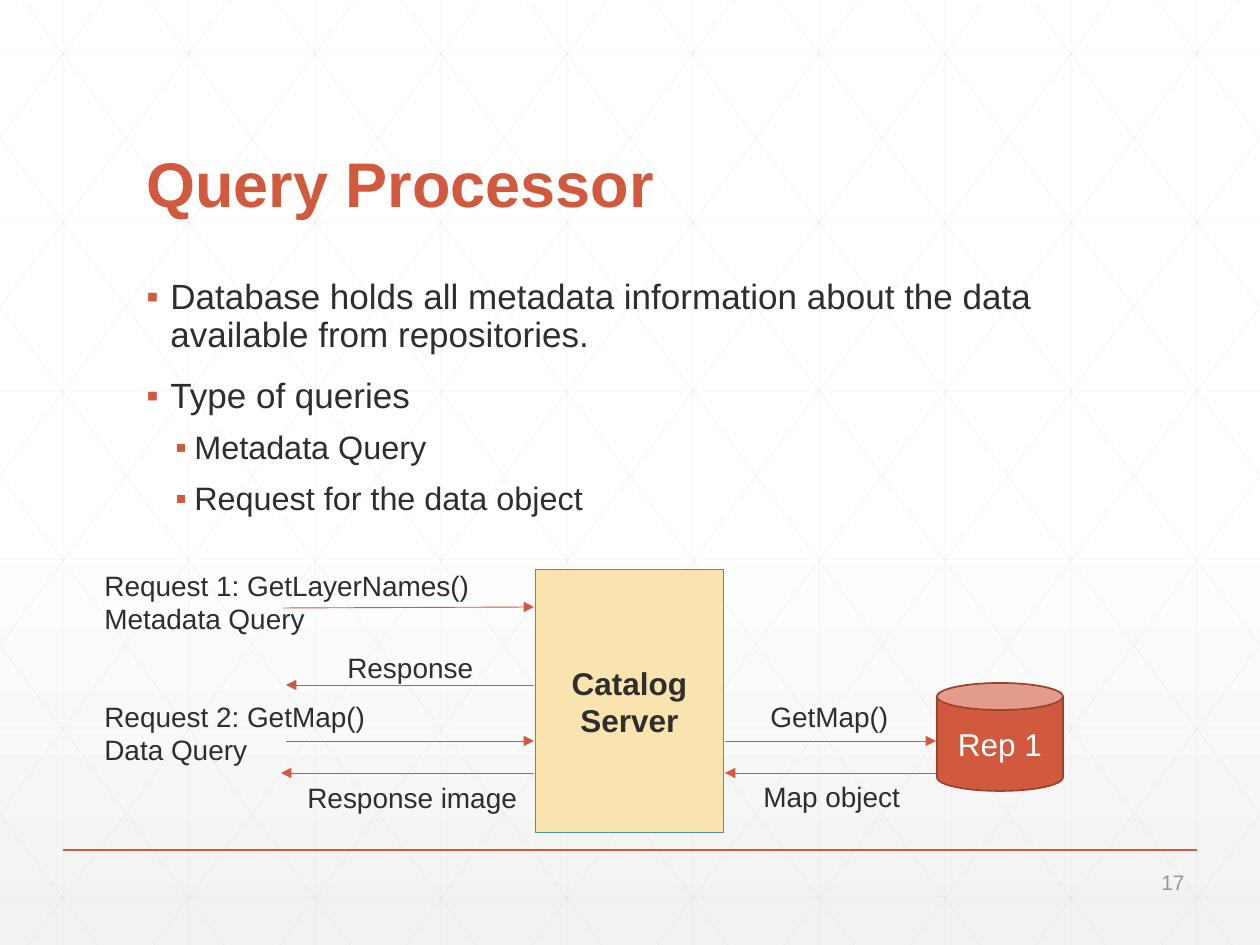
"""Build the Query Processor slide with its request and response diagram."""
from pptx import Presentation, util as u
from pptx.dml.color import RGBColor
from pptx.enum import shapes, text
from pptx.oxml import parse_xml
from pptx.oxml.ns import nsdecls, qn

PX = 914400 / 126
WIDTH, HEIGHT = 1260, 945
COLORS = {
    "accent": "D15A3E", "ink": "2D2E2D", "muted": "959795", "grid": "D9D9D9",
    "server": "F9E3AE", "server_edge": "4F91A1", "can_edge": "9B432E",
    "white": "FFFFFF", "shade": "F2F2F2",
}
RGB = {name: RGBColor.from_string(value) for name, value in COLORS.items()}
LEFT, CENTER, RIGHT = text.PP_ALIGN.LEFT, text.PP_ALIGN.CENTER, text.PP_ALIGN.RIGHT
TOP, MIDDLE, BOTTOM = text.MSO_ANCHOR.TOP, text.MSO_ANCHOR.MIDDLE, text.MSO_ANCHOR.BOTTOM

deck = Presentation()
deck.slide_width, deck.slide_height = u.Emu(round(WIDTH * PX)), u.Emu(round(HEIGHT * PX))
slide = deck.slides.add_slide(deck.slide_layouts[6])


def add_text(box, lines, kind=None, size=16, color="ink", bold=False,
             align=LEFT, anchor=TOP, wrap=True, spacing=None):
    place = [u.Emu(round(v * PX)) for v in box]
    if kind is None:
        holder = slide.shapes.add_textbox(*place)
    else:
        holder = slide.shapes.add_shape(kind, *place)
        holder.shadow.inherit = False
    frame = holder.text_frame
    frame.word_wrap = wrap
    frame.vertical_anchor = anchor
    frame.text = "\n".join(lines)
    for paragraph in frame.paragraphs:
        paragraph.alignment = align
        paragraph.line_spacing = spacing
        font = paragraph.runs[0].font
        font.name, font.size, font.bold = "Arial", u.Pt(size), bold
        font.color.rgb = RGB[color]
    return holder


def add_line(ends, color="accent", weight=0.5, alpha=None, arrow=False):
    line = slide.shapes.add_connector(
        shapes.MSO_CONNECTOR.STRAIGHT, *[u.Emu(round(v * PX)) for v in ends])
    line.line.color.rgb = RGB[color]
    line.line.width = u.Pt(weight)
    properties = line._element.spPr
    if alpha:
        tint = properties.find(".//" + qn("a:srgbClr"))
        tint.append(parse_xml(f'<a:alpha {nsdecls("a")} val="{alpha * 1000}"/>'))
    if arrow:
        properties.find(qn("a:ln")).append(
            parse_xml(f'<a:tailEnd {nsdecls("a")} type="triangle"/>'))
    properties.append(parse_xml(f'<a:effectLst {nsdecls("a")}/>'))


backdrop = slide.background.fill
backdrop.gradient()
backdrop.gradient_angle = 270
stops = slide._element.find(".//" + qn("a:gsLst"))
for stop in list(stops):
    stops.remove(stop)
for position, shade in [(0, "white"), (53, "white"), (100, "shade")]:
    stops.append(parse_xml(
        f'<a:gs {nsdecls("a")} pos="{position * 1000}">'
        f'<a:srgbClr val="{COLORS[shade]}"/></a:gs>'))

STEP, RUN = 126, 705
grid = [(x, 0, x, HEIGHT) for x in range(63, WIDTH, STEP)]
grid += [(0, round(53 + 168.8 * row), WIDTH, round(53 + 168.8 * row)) for row in range(6)]
for start in range(23 - 5 * STEP, WIDTH, STEP):
    x1, x2 = max(start, 0), min(start + RUN, WIDTH)
    y1, y2 = [round((x - start) * HEIGHT / RUN) for x in (x1, x2)]
    grid += [(x1, y1, x2, y2), (WIDTH - x1, y1, WIDTH - x2, y2)]
for ends in grid:
    add_line(ends, color="grid", alpha=25)
add_line((63, 850, 1197, 850), weight=1)

add_text((134, 69, 993, 158), ["Query Processor"], size=36, color="accent",
         bold=True, anchor=BOTTOM, spacing=0.9)

points = [
    (0, "Database holds all metadata information about the data available from repositories."),
    (0, "Type of queries"),
    (1, "Metadata Query"),
    (1, "Request for the data object"),
]
LEVELS = [(20, 13.5, 24, 24), (18.5, 9, 48, 19)]
body = add_text((134, 273, 993, 525), [wording for _, wording in points], spacing=0.9)
for (level, _), paragraph in zip(points, body.text_frame.paragraphs):
    size, before, margin, hang = LEVELS[level]
    paragraph.level = level
    paragraph.space_before = u.Pt(before)
    paragraph.runs[0].font.size = u.Pt(size)
    settings = paragraph._p.get_or_add_pPr()
    settings.set("marL", str(round(margin * PX)))
    settings.set("indent", str(round(-hang * PX)))
    for bullet in (
        f'<a:buClr {nsdecls("a")}><a:srgbClr val="{COLORS["accent"]}"/></a:buClr>',
        f'<a:buFont {nsdecls("a")} typeface="Arial"/>',
        f'<a:buChar {nsdecls("a")} char="▪"/>',
    ):
        settings.append(parse_xml(bullet))

add_text((1102, 867, 95, 30), ["17"], size=12, color="muted", align=RIGHT, anchor=MIDDLE)

nodes = [
    ((535, 570, 189, 263), ["Catalog", "Server"], shapes.MSO_SHAPE.RECTANGLE,
     "server", "server_edge", 0.5, "ink", True),
    ((937, 683, 126, 108), ["Rep 1"], shapes.MSO_SHAPE.CAN,
     "accent", "can_edge", 1, "white", False),
]
for box, lines, kind, fill, edge, weight, color, bold in nodes:
    node = add_text(box, lines, kind=kind, size=18, color=color, bold=bold,
                    align=CENTER, anchor=MIDDLE)
    node.fill.solid()
    node.fill.fore_color.rgb = RGB[fill]
    node.line.color.rgb = RGB[edge]
    node.line.width = u.Pt(weight)

messages = [
    ((283, 608, 534, 607), (92, 562, 394, 81), ["Request 1: GetLayerNames()", "Metadata Query"]),
    ((534, 685, 286, 685), (335, 644, 152, 47), ["Response"]),
    ((286, 741, 534, 741), (92, 693, 290, 81), ["Request 2: GetMap()", "Data Query"]),
    ((534, 773, 281, 773), (295, 774, 237, 47), ["Response image"]),
    ((725, 741, 936, 741), (758, 693, 145, 47), ["GetMap()"]),
    ((936, 773, 725, 773), (751, 773, 164, 47), ["Map object"]),
]
for arrow, box, lines in messages:
    add_line(arrow, arrow=True)
    add_text(box, lines, wrap=False)

deck.save("out.pptx")
